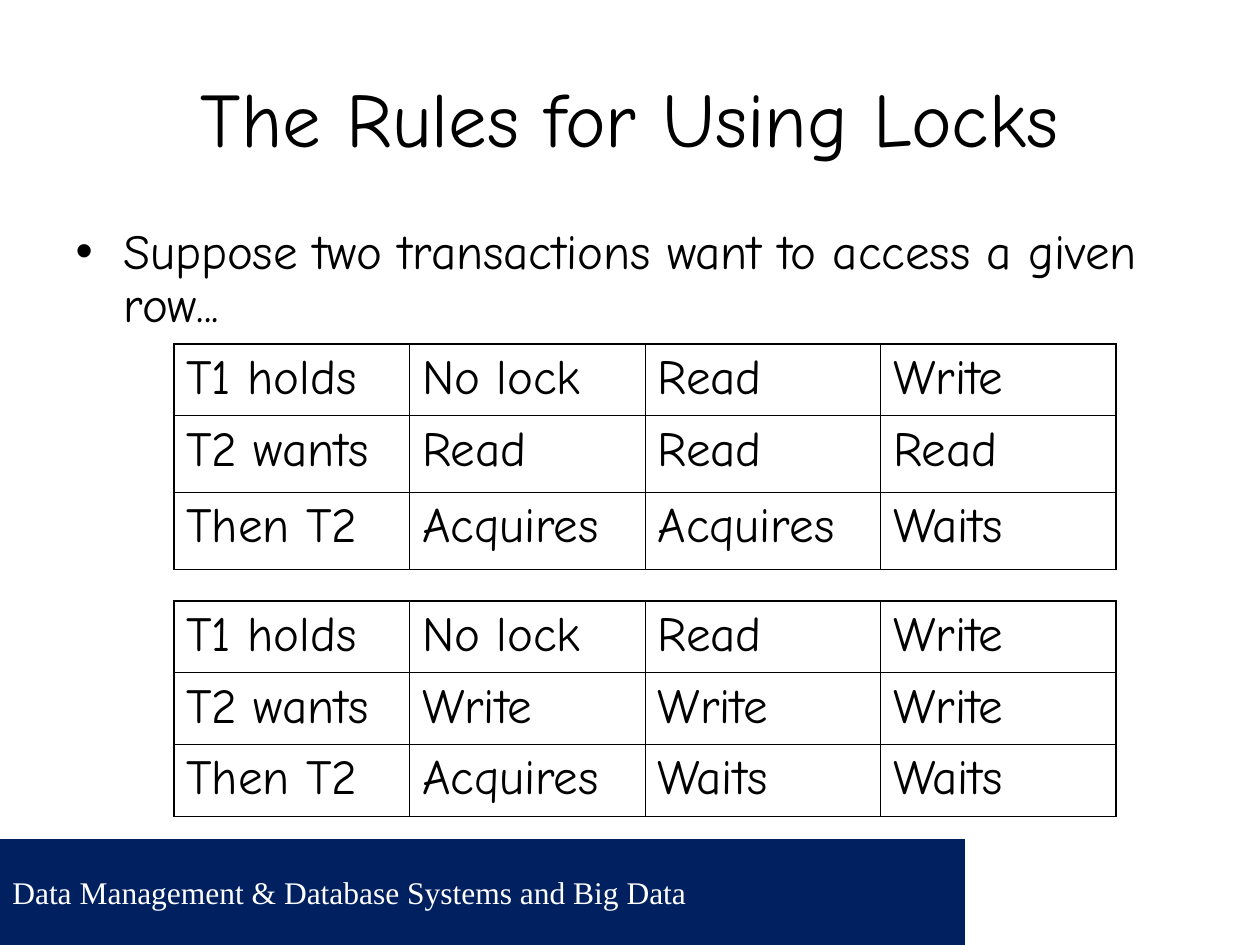
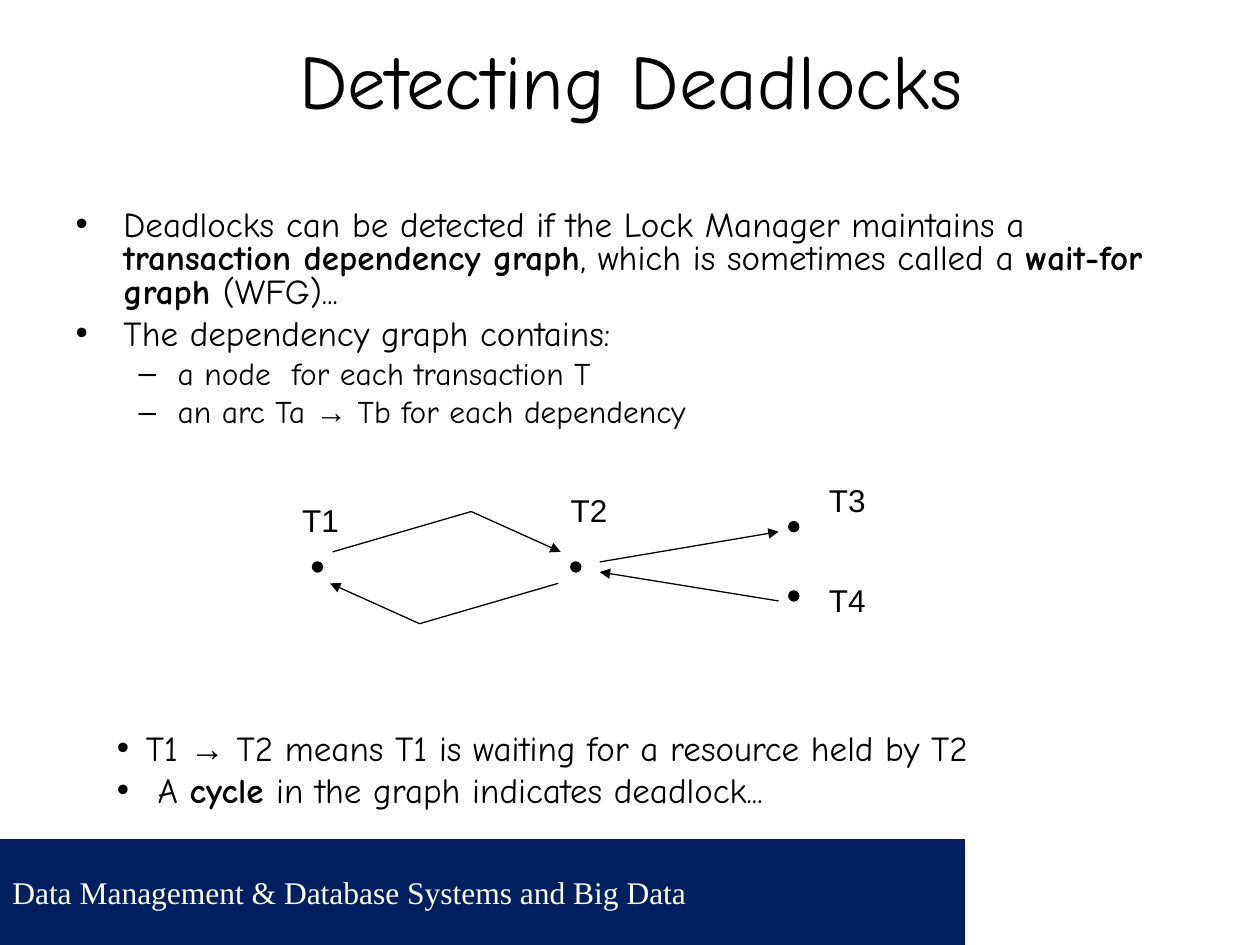
"""Build two slides on database locks and deadlock detection."""
import lxml.etree
import pptx
import pptx.dml.color
import pptx.enum.shapes
import pptx.enum.text
import pptx.oxml.ns
import pptx.util

Inches = pptx.util.Inches
Pt = pptx.util.Pt
qn = pptx.oxml.ns.qn
RGBColor = pptx.dml.color.RGBColor
MSO_SHAPE = pptx.enum.shapes.MSO_SHAPE
MSO_AUTO_SIZE = pptx.enum.text.MSO_AUTO_SIZE

NAVY = RGBColor(0x00, 0x20, 0x60)
WHITE = RGBColor(0xFF, 0xFF, 0xFF)
BLACK = RGBColor(0x00, 0x00, 0x00)
ARROW = ("→", {"name": "Arial"})
BOLD = {"bold": True}


def set_attributes(target, values):
    for name, value in values.items():
        setattr(target, name, value)


def add_element(parent, tag, **attributes):
    return lxml.etree.SubElement(parent, qn(tag), **attributes)


class Deck:
    title_font = {"name": "Comic Neue", "size": Pt(44)}
    label_font = {"name": "Arial", "size": Pt(18)}
    footer_font = {"name": "Times New Roman", "size": Pt(18)}
    frame_format = {
        "word_wrap": True,
        "auto_size": MSO_AUTO_SIZE.NONE,
        "margin_left": Inches(0.1),
        "margin_right": Inches(0.1),
        "margin_top": Inches(0.05),
        "margin_bottom": Inches(0.05),
    }

    def __init__(self):
        self.presentation = pptx.Presentation()
        self.presentation.slide_width = Inches(10)
        self.presentation.slide_height = Inches(7.5)
        self.slide = None

    def body_font(self, size):
        return {"name": "Comic Neue", "size": Pt(size)}

    def new_slide(self, title, top, left=0.5):
        layout = self.presentation.slide_layouts[1]
        self.slide = self.presentation.slides.add_slide(layout)
        shape = self.slide.shapes.title
        self.place(shape, left, top, 9, 1.25)
        set_attributes(shape.text_frame, self.frame_format)
        shape.text_frame.vertical_anchor = pptx.enum.text.MSO_ANCHOR.MIDDLE
        paragraph = shape.text_frame.paragraphs[0]
        paragraph.alignment = pptx.enum.text.PP_ALIGN.CENTER
        self.add_runs(paragraph, [title], self.title_font)

    def place(self, shape, left, top, width, height):
        names = ("left", "top", "width", "height")
        lengths = map(Inches, (left, top, width, height))
        set_attributes(shape, dict(zip(names, lengths)))

    def add_runs(self, paragraph, parts, font, color=BLACK):
        for part in parts:
            text, changes = (part, {}) if isinstance(part, str) else part
            run = paragraph.add_run()
            run.text = text
            set_attributes(run.font, {**font, **changes})
            run.font.color.rgb = color

    def bullet(self, paragraph, character, margin, hanging):
        properties = paragraph._p.get_or_add_pPr()
        properties.set("marL", str(Inches(margin)))
        properties.set("indent", str(-Inches(hanging)))
        color = add_element(properties, "a:buClr")
        add_element(color, "a:srgbClr", val=str(BLACK))
        add_element(properties, "a:buFont", typeface="Arial")
        add_element(properties, "a:buChar", char=character)

    def fill_list(self, frame, items, styles):
        set_attributes(frame, self.frame_format)
        for index, (level, parts) in enumerate(items):
            style = styles[level]
            paragraph = frame.add_paragraph() if index else frame.paragraphs[0]
            before = style["before"] if index else 0
            set_attributes(paragraph, {
                "level": level,
                "line_spacing": style["spacing"],
                "space_before": Pt(before),
            })
            self.bullet(paragraph, *style["bullet"])
            self.add_runs(paragraph, parts, self.body_font(style["size"]))

    def body(self, box, items, styles):
        shape = self.slide.placeholders[1]
        self.place(shape, *box)
        self.fill_list(shape.text_frame, items, styles)

    def list_box(self, box, items, styles):
        shape = self.slide.shapes.add_textbox(*map(Inches, box))
        self.fill_list(shape.text_frame, items, styles)

    def label(self, text, left, top):
        box = map(Inches, (left, top, 0.49, 0.4))
        frame = self.slide.shapes.add_textbox(*box).text_frame
        set_attributes(frame, {**self.frame_format, "word_wrap": False})
        self.add_runs(frame.paragraphs[0], [text], self.label_font)

    def shape(self, kind, box, color):
        shape = self.slide.shapes.add_shape(kind, *map(Inches, box))
        shape.shadow.inherit = False
        shape.fill.solid()
        shape.fill.fore_color.rgb = color
        shape.line.fill.background()
        return shape

    def node(self, left, top):
        dot = self.shape(MSO_SHAPE.OVAL, (left, top, 0.08, 0.08), BLACK)
        dot.line.color.rgb = BLACK
        dot.line.width = Pt(0.75)

    def arrow(self, *points):
        for index, (start, end) in enumerate(zip(points, points[1:]), 2):
            connector = self.slide.shapes.add_connector(
                pptx.enum.shapes.MSO_CONNECTOR.STRAIGHT,
                *map(Inches, start + end))
            connector.line.color.rgb = BLACK
            connector.line.width = Pt(0.75)
            properties = connector._element.spPr
            add_element(properties, "a:effectLst")
            if index == len(points):
                line = properties.find(qn("a:ln"))
                add_element(line, "a:tailEnd", type="triangle")

    def borders(self, cell, outer_sides):
        properties = cell._tc.get_or_add_tcPr()
        for side in "LRTB":
            width = Pt(1.08 if side in outer_sides else 0.45)
            line = add_element(properties, f"a:ln{side}", w=str(width))
            fill = add_element(line, "a:solidFill")
            add_element(fill, "a:srgbClr", val=str(BLACK))

    def table(self, top, heights, rows):
        width = 1.87
        columns = len(rows[0])
        box = (1.38, top, width * columns, sum(heights))
        table = self.slide.shapes.add_table(
            len(rows), columns, *map(Inches, box)).table
        set_attributes(table, {"first_row": False, "horz_banding": False})
        for column in table.columns:
            column.width = Inches(width)
        for row, height in zip(table.rows, heights):
            row.height = Inches(height)
        for row_index, texts in enumerate(rows):
            for column_index, text in enumerate(texts):
                cell = table.cell(row_index, column_index)
                edges = {
                    "L": column_index == 0,
                    "R": column_index == columns - 1,
                    "T": row_index == 0,
                    "B": row_index == len(rows) - 1,
                }
                self.borders(cell, [side for side in edges if edges[side]])
                cell.fill.background()
                paragraph = cell.text_frame.paragraphs[0]
                self.add_runs(paragraph, [text], self.body_font(28))

    def master_footer(self, text):
        band = self.shape(MSO_SHAPE.RECTANGLE, (0, 6.66, 10, 0.84), NAVY)
        blank_corner = self.shape(
            MSO_SHAPE.RECTANGLE, (7.66, 6.66, 2.34, 0.84), WHITE)
        set_attributes(band.text_frame, self.frame_format)
        band.text_frame.vertical_anchor = pptx.enum.text.MSO_ANCHOR.MIDDLE
        paragraph = band.text_frame.paragraphs[0]
        paragraph.alignment = pptx.enum.text.PP_ALIGN.LEFT
        self.add_runs(paragraph, [text], self.footer_font, WHITE)
        master_shapes = self.presentation.slide_master.shapes.element
        for shape in (band, blank_corner):
            master_shapes.append(shape.element)


def locks_slide(deck):
    deck.new_slide("The Rules for Using Locks", 0.3)
    style = {"size": 28, "spacing": 0.9, "before": 7,
             "bullet": ("•", 0.38, 0.38)}
    deck.body((0.5, 1.75, 8.83, 0.98), [
        (0, ["Suppose two transactions want to access a given row..."]),
    ], [style])
    held = ["T1 holds", "No lock", "Read", "Write"]
    deck.table(2.73, [0.57, 0.61, 0.61], [
        held,
        ["T2 wants"] + ["Read"] * 3,
        ["Then T2", "Acquires", "Acquires", "Waits"],
    ])
    deck.table(4.77, [0.57] * 3, [
        held,
        ["T2 wants"] + ["Write"] * 3,
        ["Then T2", "Acquires", "Waits", "Waits"],
    ])


def deadlocks_slide(deck):
    deck.new_slide("Detecting Deadlocks", 0, 0.51)
    styles = [
        {"size": 20, "spacing": 0.8, "before": 5,
         "bullet": ("•", 0.38, 0.38)},
        {"size": 18, "spacing": 0.8, "before": 4.5,
         "bullet": ("–", 0.81, 0.31)},
    ]
    deck.body((0.5, 1.62, 9, 1.97), [
        (0, ["Deadlocks can be detected if the Lock Manager maintains a ",
             ("transaction dependency graph", BOLD),
             ", which is sometimes called a ",
             ("wait-for graph ", BOLD), "(WFG)..."]),
        (0, ["The dependency graph contains:"]),
        (1, ["a node  for each transaction T"]),
        (1, ["an arc Ta ", ARROW, " Tb for each dependency"]),
    ], styles)

    for left, top in [(2.48, 4.46), (4.53, 4.46), (6.26, 4.69), (6.26, 4.14)]:
        deck.node(left, top)
    deck.arrow((2.64, 4.38), (3.74, 4.06), (4.45, 4.38))
    deck.arrow((4.43, 4.63), (3.33, 4.95), (2.62, 4.63))
    deck.arrow((4.76, 4.46), (6.18, 4.22))
    deck.arrow((6.18, 4.77), (4.76, 4.54))
    for text, left, top in [("T1", 2.3, 3.93), ("T2", 4.43, 3.85),
                            ("T3", 6.48, 3.77), ("T4", 6.48, 4.56)]:
        deck.label(text, left, top)

    note_style = {"size": 20, "spacing": 1.0, "before": 0,
                  "bullet": ("•", 0.23, 0.23)}
    deck.list_box((0.83, 5.72, 8.19, 0.77), [
        (0, ["T1 ", ARROW,
             " T2 means T1 is waiting for a resource held by T2"]),
        (0, [" A ", ("cycle ", BOLD), "in the graph indicates deadlock..."]),
    ], [note_style])


def main():
    deck = Deck()
    locks_slide(deck)
    deck.master_footer("Data Management & Database Systems and Big Data")
    deadlocks_slide(deck)
    deck.presentation.save("out.pptx")


if __name__ == "__main__":
    main()
